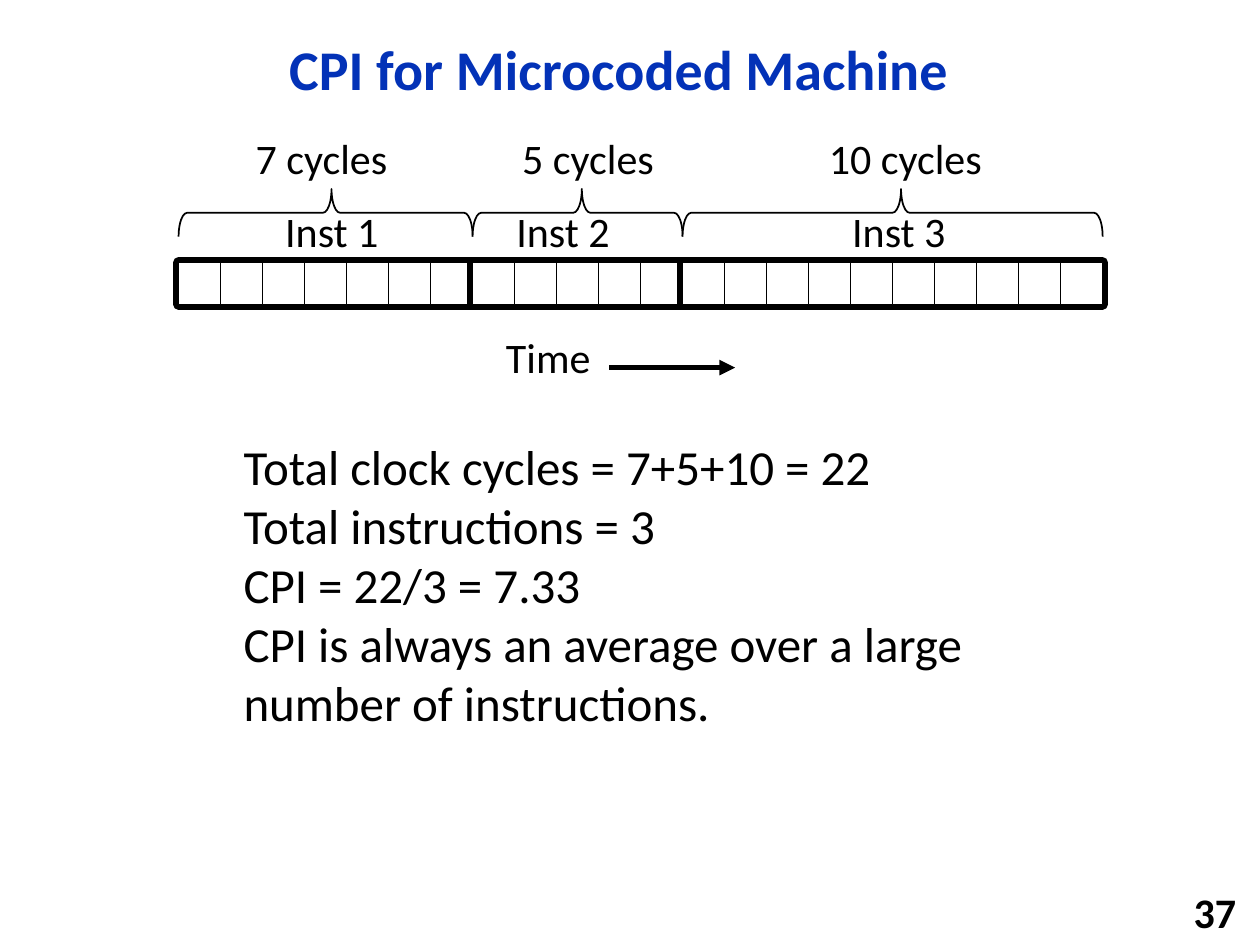
from pptx import Presentation
from pptx.dml.color import RGBColor
from pptx.enum.shapes import MSO_CONNECTOR, MSO_SHAPE
from pptx.enum.text import MSO_ANCHOR, PP_ALIGN
from pptx.oxml.ns import qn
from pptx.util import Cm, Pt
from lxml.etree import SubElement

BLACK, WHITE, BLUE = "000000", "FFFFFF", "0332B7"
CELL = 2.54 / 3
LEFT, TOP = 3.6, 5.29
GROUPS = [
    ("Inst 1", 7, 5.5, 4.88, 3.2),
    ("Inst 2", 5, 10.16, 9.74, 4.23),
    ("Inst 3", 10, 16.93, 15.67, 5.16),
]
FACTS = [
    "Total clock cycles = 7+5+10 = 22",
    "Total instructions = 3",
    "CPI = 22/3 = 7.33",
    "CPI is always an average over a large number of instructions.",
]


def color(code):
    return RGBColor.from_string(code)


def text(slide, lines, x, y, w, h, size=24, shade=BLACK, bold=False,
         align=PP_ALIGN.LEFT, anchor=MSO_ANCHOR.TOP, wrap=True, space=None):
    frame = slide.shapes.add_textbox(Cm(x), Cm(y), Cm(w), Cm(h)).text_frame
    frame.word_wrap = wrap
    frame.vertical_anchor = anchor
    frame.text = "\n".join(lines)
    for para in frame.paragraphs:
        para.alignment = align
        para.line_spacing = space
        para.font.name = "Calibri"
        para.font.size = Pt(size)
        para.font.bold = bold
        para.font.color.rgb = color(shade)


def shape(slide, kind, x, y, w, h, width):
    item = slide.shapes.add_shape(kind, Cm(x), Cm(y), Cm(w), Cm(h))
    item.shadow.inherit = False
    item.fill.solid()
    item.fill.fore_color.rgb = color(WHITE)
    item.line.color.rgb = color(BLACK)
    item.line.width = Pt(width)
    SubElement(item.line._get_or_add_ln(), qn("a:round"))
    return item


def brace(slide, x, y, span, depth):
    item = shape(slide, MSO_SHAPE.LEFT_BRACE, x + (span - depth) / 2,
                 y + (depth - span) / 2, depth, span, 1)
    item.adjustments[0] = 0.18
    item.adjustments[1] = 0.48
    item.rotation = 90


def bar(slide, x, count):
    shape(slide, MSO_SHAPE.RECTANGLE, x, TOP, count * CELL, CELL, 6)
    for step in range(count):
        shape(slide, MSO_SHAPE.RECTANGLE, x + step * CELL, TOP, CELL, CELL, 1)


def arrow(slide, x, y, end):
    line = slide.shapes.add_connector(
        MSO_CONNECTOR.STRAIGHT, Cm(x), Cm(y), Cm(end), Cm(y))
    line.line.color.rgb = color(BLACK)
    line.line.width = Pt(3)
    SubElement(line.line._get_or_add_ln(), qn("a:tailEnd"), type="triangle")
    SubElement(line._element.spPr, qn("a:effectLst"))


def main():
    deck = Presentation()
    deck.slide_width, deck.slide_height = Cm(25.4), Cm(19.05)
    slide = deck.slides.add_slide(deck.slide_layouts[6])

    text(slide, ["CPI for Microcoded Machine"], 2.34, 0.43, 20.27, 2.06, 32,
         BLUE, True, PP_ALIGN.CENTER, MSO_ANCHOR.MIDDLE, space=0.9)

    x = LEFT
    for name, count, inst, label, width in GROUPS:
        brace(slide, x, 3.81, count * CELL, 0.96)
        bar(slide, x, count)
        text(slide, [name], inst, 4.02, 2.41, 1.27, wrap=False)
        text(slide, [f"{count} cycles"], label, 2.54, width, 1.27,
             align=PP_ALIGN.CENTER)
        x += count * CELL

    text(slide, ["Time"], 9.95, 6.56, 2.24, 1.27, wrap=False)
    arrow(slide, 12.28, 7.41, 14.82)
    text(slide, FACTS, 4.66, 8.68, 17.15, 8.03, 28)
    text(slide, ["37"], 19.89, 17.98, 5.28, 0.81, bold=True,
         align=PP_ALIGN.RIGHT, anchor=MSO_ANCHOR.MIDDLE)
    deck.save("out.pptx")


if __name__ == "__main__":
    main()
